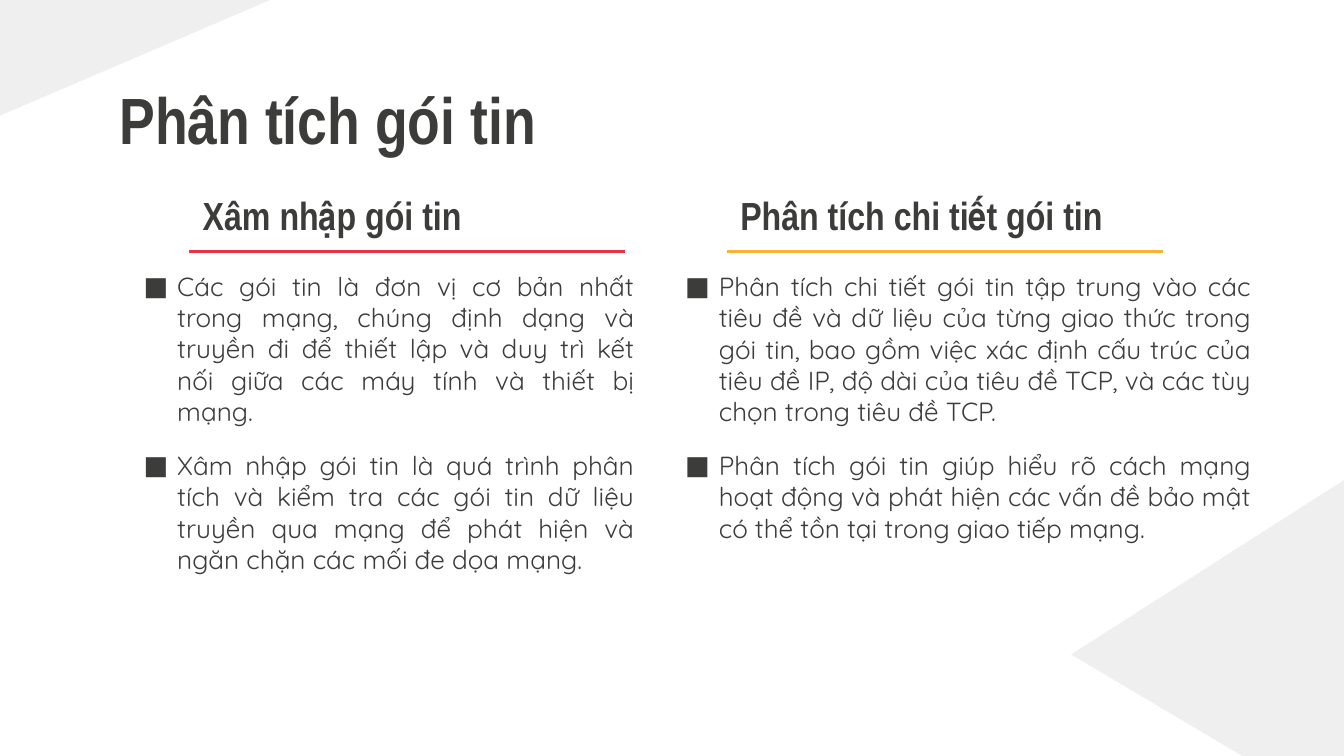
from dataclasses import dataclass

from lxml.etree import SubElement
from pptx import Presentation
from pptx.dml.color import RGBColor
from pptx.enum.shapes import MSO_CONNECTOR as Connector, MSO_SHAPE as Shape
from pptx.enum.text import MSO_ANCHOR as Anchor, PP_ALIGN as Align
from pptx.oxml.ns import qn
from pptx.util import Inches, Pt


@dataclass(frozen=True)
class Theme:
    text: str = "3C3C3B"
    corner: str = "878787"
    red: str = "E83345"
    yellow: str = "F9B233"
    heading_font: str = "Arial Narrow"
    body_font: str = "Quicksand"
    title_size: int = 35
    heading_size: int = 21
    body_size: int = 14
    corner_opacity: int = 13  # percent


THEME = Theme()

COLUMNS = [
    {
        "left": 1.41,
        "heading": "Xâm nhập gói tin",
        "accent": THEME.red,
        "body_box": (0.97, 1.91, 3.85, 2.66),
        "bullets": [
            "Các gói tin là đơn vị cơ bản nhất trong mạng, chúng định dạng và truyền đi "
            "để thiết lập và duy trì kết nối giữa các máy tính và thiết bị mạng.",
            "Xâm nhập gói tin là quá trình phân tích và kiểm tra các gói tin dữ liệu "
            "truyền qua mạng để phát hiện và ngăn chặn các mối đe dọa mạng.",
        ],
    },
    {
        "left": 5.41,
        "heading": "Phân tích chi tiết gói tin",
        "accent": THEME.yellow,
        "body_box": (5, 1.91, 4.41, 2.05),
        "bullets": [
            "Phân tích chi tiết gói tin tập trung vào các tiêu đề và dữ liệu của từng "
            "giao thức trong gói tin, bao gồm việc xác định cấu trúc của tiêu đề IP, "
            "độ dài của tiêu đề TCP, và các tùy chọn trong tiêu đề TCP.",
            "Phân tích gói tin giúp hiểu rõ cách mạng hoạt động và phát hiện các vấn đề "
            "bảo mật có thể tồn tại trong giao tiếp mạng.",
        ],
    },
]


def color(value):
    return RGBColor.from_string(value)


def add_frame(slide, box, anchor=Anchor.TOP):
    frame = slide.shapes.add_textbox(*map(Inches, box)).text_frame
    frame.word_wrap = True
    frame.vertical_anchor = anchor
    frame.margin_left = frame.margin_right = Inches(0.1)
    frame.margin_top = frame.margin_bottom = Inches(0.1)
    return frame


def add_run(paragraph, text, font, size, bold=False):
    run = paragraph.add_run()
    run.text = text
    run.font.name = font
    run.font.size = Pt(size)
    run.font.bold = bold
    run.font.color.rgb = color(THEME.text)


def add_heading(slide, box, text, size, anchor=Anchor.TOP):
    frame = add_frame(slide, box, anchor)
    add_run(frame.paragraphs[0], text, THEME.heading_font, size, bold=True)


def add_bullets(slide, box, texts):
    frame = add_frame(slide, box)
    for index, text in enumerate(texts):
        paragraph = frame.add_paragraph() if index else frame.paragraphs[0]
        properties = paragraph._p.get_or_add_pPr()
        properties.set("marL", str(Inches(0.25)))
        properties.set("indent", str(Inches(-0.25)))
        bullet_color = SubElement(properties, qn("a:buClr"))
        SubElement(bullet_color, qn("a:srgbClr"), val=THEME.text)
        SubElement(properties, qn("a:buFont"), typeface=THEME.body_font)
        SubElement(properties, qn("a:buChar"), char="■")
        paragraph.alignment = Align.JUSTIFY
        paragraph.space_before = Pt(6 if index else 0)
        paragraph.space_after = Pt(6)
        add_run(paragraph, text, THEME.body_font, THEME.body_size)


def add_rule(slide, left, top, width, accent):
    line = slide.shapes.add_connector(
        Connector.STRAIGHT, Inches(left), Inches(top), Inches(left + width), Inches(top))
    line.line.color.rgb = color(accent)
    line.line.width = Pt(1.5)
    SubElement(line._element.spPr, qn("a:effectLst"))


def style_corner(shape):
    shape.shadow.inherit = False
    shape.line.fill.background()
    shape.fill.solid()
    shape.fill.fore_color.rgb = color(THEME.corner)
    fill_color = shape._element.spPr.find(".//" + qn("a:srgbClr"))
    SubElement(fill_color, qn("a:alpha"), val=str(THEME.corner_opacity * 1000))


def add_corners(slide, top_left_box, bottom_right_box):
    # Wedge pointing left
    left, top, width, height = bottom_right_box
    right, bottom = left + width, top + height
    builder = slide.shapes.build_freeform(
        Inches(left + 1.28), Inches(bottom), scale=1.0)
    builder.add_line_segments(
        [(Inches(x), Inches(y))
         for x, y in ((left, top + 1.31), (right, top), (right, bottom))])
    style_corner(builder.convert_to_shape())

    # Right-angled triangle, turned so that its square corner is top left
    triangle = slide.shapes.add_shape(Shape.RIGHT_TRIANGLE, *map(Inches, top_left_box))
    triangle.rotation = 180
    triangle._element.spPr.xfrm.set("flipH", "1")
    style_corner(triangle)


def add_column(slide, left, heading, accent, body_box, bullets):
    add_heading(slide, (left, 1.3, 3.18, 0.57), heading,
                THEME.heading_size, Anchor.BOTTOM)
    add_bullets(slide, body_box, bullets)
    add_rule(slide, left, 1.87, 3.24, accent)


def main():
    presentation = Presentation()
    presentation.slide_width = Inches(10)
    presentation.slide_height = Inches(10) * 9 // 16  # widescreen
    slide = presentation.slides.add_slide(presentation.slide_layouts[6])

    # Background corners
    add_corners(slide, (0, 0, 2.01, 0.86), (7.97, 3.56, 2.05, 2.07))

    # Title
    add_heading(slide, (0.79, 0.49, 8.43, 0.63), "Phân tích gói tin", THEME.title_size)

    # Two columns
    for column in COLUMNS:
        add_column(slide, **column)

    presentation.save("out.pptx")


if __name__ == "__main__":
    main()
